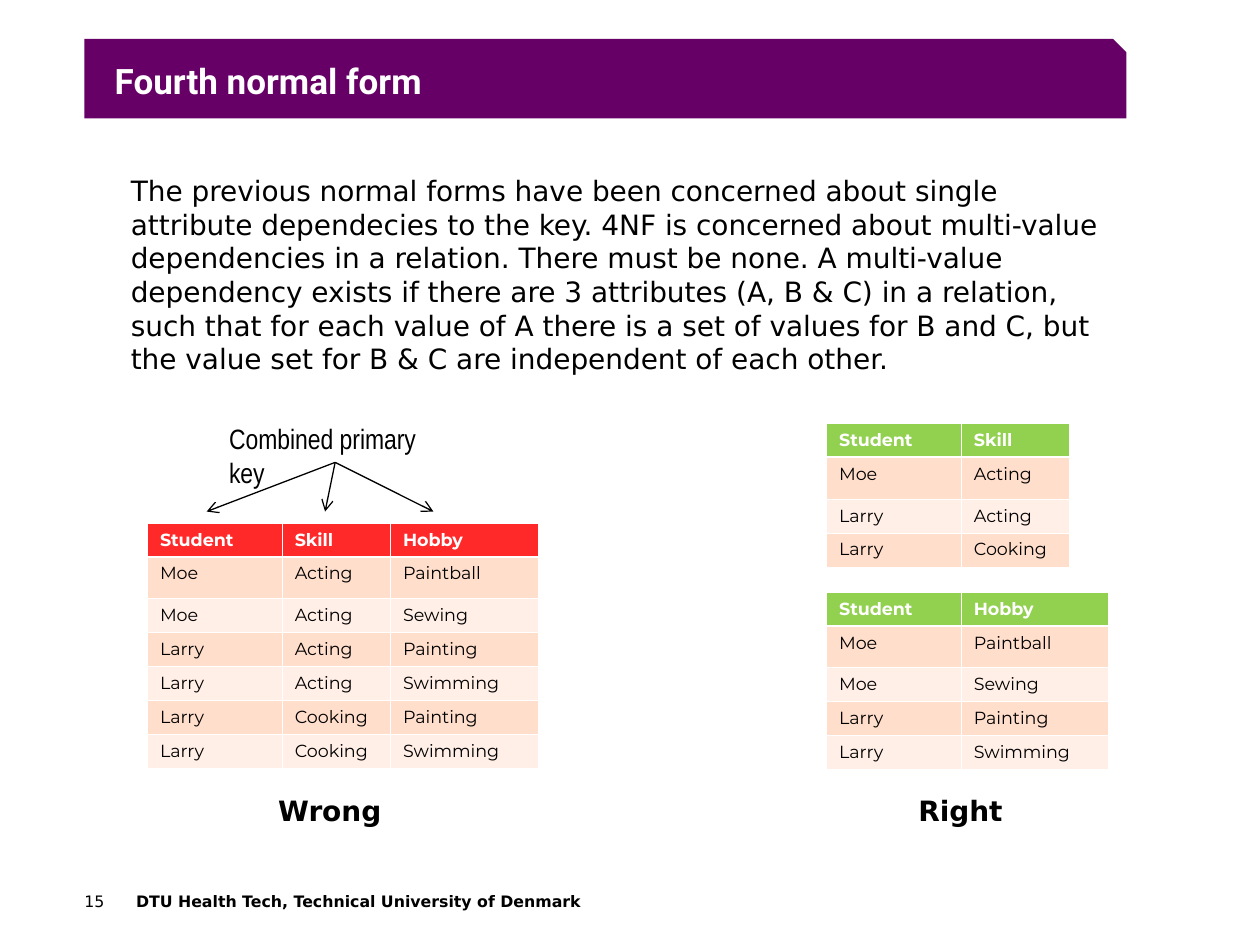
from dataclasses import dataclass
from lxml.etree import SubElement
from pptx import Presentation
from pptx.dml.color import RGBColor
from pptx.enum.shapes import MSO_CONNECTOR, MSO_SHAPE
from pptx.enum.text import MSO_ANCHOR, PP_ALIGN
from pptx.oxml import parse_xml
from pptx.oxml.ns import nsdecls, qn
from pptx.util import Inches, Pt


@dataclass(frozen=True)
class Theme:
    purple: str = "660066"
    red: str = "FF2929"
    green: str = "92D050"
    bands: tuple = ("FFDECB", "FFEFE7")
    white: str = "FFFFFF"
    black: str = "000000"
    title_font: str = "Roboto"
    body_font: str = "DejaVu Sans"
    table_font: str = "Montserrat"
    label_font: str = "Arial Narrow"
    title_size: int = 20
    body_size: int = 16
    table_size: int = 10
    footer_size: int = 9
    thin: float = 0.45
    thick: float = 1.47


theme = Theme()


def write(tf, text, font, size, color=theme.black, bold=False, margins=(0.1, 0.05)):
    tf.text = text
    tf.word_wrap = True
    tf.margin_left = tf.margin_right = Inches(margins[0])
    tf.margin_top = tf.margin_bottom = Inches(margins[1])
    p = tf.paragraphs[0]
    p.alignment = PP_ALIGN.LEFT
    r = p.runs[0]
    r.font.name, r.font.size, r.font.bold = font, Pt(size), bold
    r.font.color.rgb = RGBColor.from_string(color)


def add_grid(s, left, top, header_color, widths, rows):
    heights = [0.27, 0.33] + [0.27] * (len(rows) - 2)
    table = s.shapes.add_table(len(rows), len(widths), Inches(left), Inches(top),
                               Inches(sum(widths)), Inches(sum(heights))).table
    table.horz_banding = False
    for column, width in zip(table.columns, widths):
        column.width = Inches(width)
    for i, (row, height) in enumerate(zip(rows, heights)):
        table.rows[i].height = Inches(height)
        is_header = i == 0
        for j, text in enumerate(row):
            cell = table.cell(i, j)
            write(cell.text_frame, text, theme.table_font, theme.table_size,
                  theme.white if is_header else theme.black, is_header)
            cell.fill.solid()
            color = header_color if is_header else theme.bands[(i - 1) % 2]
            cell.fill.fore_color.rgb = RGBColor.from_string(color)
            # White cell borders, thicker under the header
            for k, side in enumerate(("lnL", "lnR", "lnT", "lnB")):
                under_header = (i, side) in ((0, "lnB"), (1, "lnT"))
                width = Pt(theme.thick if under_header else theme.thin)
                cell._tc.get_or_add_tcPr().insert(k, parse_xml(
                    f'<a:{side} {nsdecls("a")} w="{width}"><a:solidFill>'
                    f'<a:srgbClr val="{theme.white}"/></a:solidFill></a:{side}>'))


prs = Presentation()
prs.slide_width, prs.slide_height = Inches(10), Inches(7.5)
s = prs.slides.add_slide(prs.slide_layouts[5])

# Title on its banner
banner = s.shapes.add_shape(MSO_SHAPE.SNIP_1_RECTANGLE, Inches(0.67), Inches(0.31),
                            Inches(8.27), Inches(0.63))
banner.shadow.inherit = False
banner.fill.solid()
banner.fill.fore_color.rgb = RGBColor.from_string(theme.purple)
banner.line.fill.background()
title = s.shapes.title
title.element.addprevious(banner.element)
title.left, title.top = Inches(0.91), Inches(0.3)
title.width, title.height = Inches(8.5), Inches(0.51)
write(title.text_frame, "Fourth normal form", theme.title_font, theme.title_size,
      theme.white, True, (0, 0))
title.text_frame.vertical_anchor = MSO_ANCHOR.BOTTOM

# Explanation, captions and footer
explanation = (
    "The previous normal forms have been concerned about single attribute dependecies "
    "to the key. 4NF is concerned about multi-value dependencies in a relation. There "
    "must be none. A multi-value dependency exists if there are 3 attributes (A, B & C) "
    "in a relation, such that for each value of A there is a set of values for B and C, "
    "but the value set for B & C are independent of each other.")
body, label = theme.body_font, theme.label_font
inset, flush = (0.1, 0.05), (0, 0)
for text, box, font, size, bold, margins in (
    (explanation, (0.94, 1.33, 7.97, 1.7), body, theme.body_size, False, inset),
    ("Wrong", (2.11, 6.25, 1.09, 0.37), body, theme.body_size, True, inset),
    ("Right", (7.19, 6.25, 0.94, 0.37), body, theme.body_size, True, inset),
    ("Combined primary key", (1.72, 3.3, 1.87, 0.64), label, theme.body_size, False, inset),
    ("15", (0.67, 7.08, 0.33, 0.33), body, theme.footer_size, False, flush),
    ("DTU Health Tech, Technical University of Denmark", (1.08, 7.08, 4.04, 0.33),
     body, theme.footer_size, True, flush),
):
    tf = s.shapes.add_textbox(*map(Inches, box)).text_frame
    write(tf, text, font, size, bold=bold, margins=margins)

# Tables: one combined relation, then its two independent parts
student, skill, hobby = 1.07, 0.86, 1.17
add_grid(s, 1.17, 4.15, theme.red, (student, skill, hobby), (
    ("Student", "Skill", "Hobby"),
    ("Moe", "Acting", "Paintball"),
    ("Moe", "Acting", "Sewing"),
    ("Larry", "Acting", "Painting"),
    ("Larry", "Acting", "Swimming"),
    ("Larry", "Cooking", "Painting"),
    ("Larry", "Cooking", "Swimming"),
))
add_grid(s, 6.56, 3.36, theme.green, (student, skill), (
    ("Student", "Skill"),
    ("Moe", "Acting"),
    ("Larry", "Acting"),
    ("Larry", "Cooking"),
))
add_grid(s, 6.56, 4.7, theme.green, (student, hobby), (
    ("Student", "Hobby"),
    ("Moe", "Paintball"),
    ("Moe", "Sewing"),
    ("Larry", "Painting"),
    ("Larry", "Swimming"),
))

# Arrows from the key label to the three columns
for x in (2.58, 1.64, 3.44):
    arrow = s.shapes.add_connector(MSO_CONNECTOR.STRAIGHT, Inches(2.66), Inches(3.67),
                                   Inches(x), Inches(4.06))
    arrow.line.color.rgb = RGBColor.from_string(theme.black)
    arrow.line.width = Pt(0.75)
    SubElement(arrow.line._get_or_add_ln(), qn("a:tailEnd"), type="arrow")
    SubElement(arrow.element.spPr, qn("a:effectLst"))

prs.save("out.pptx")
